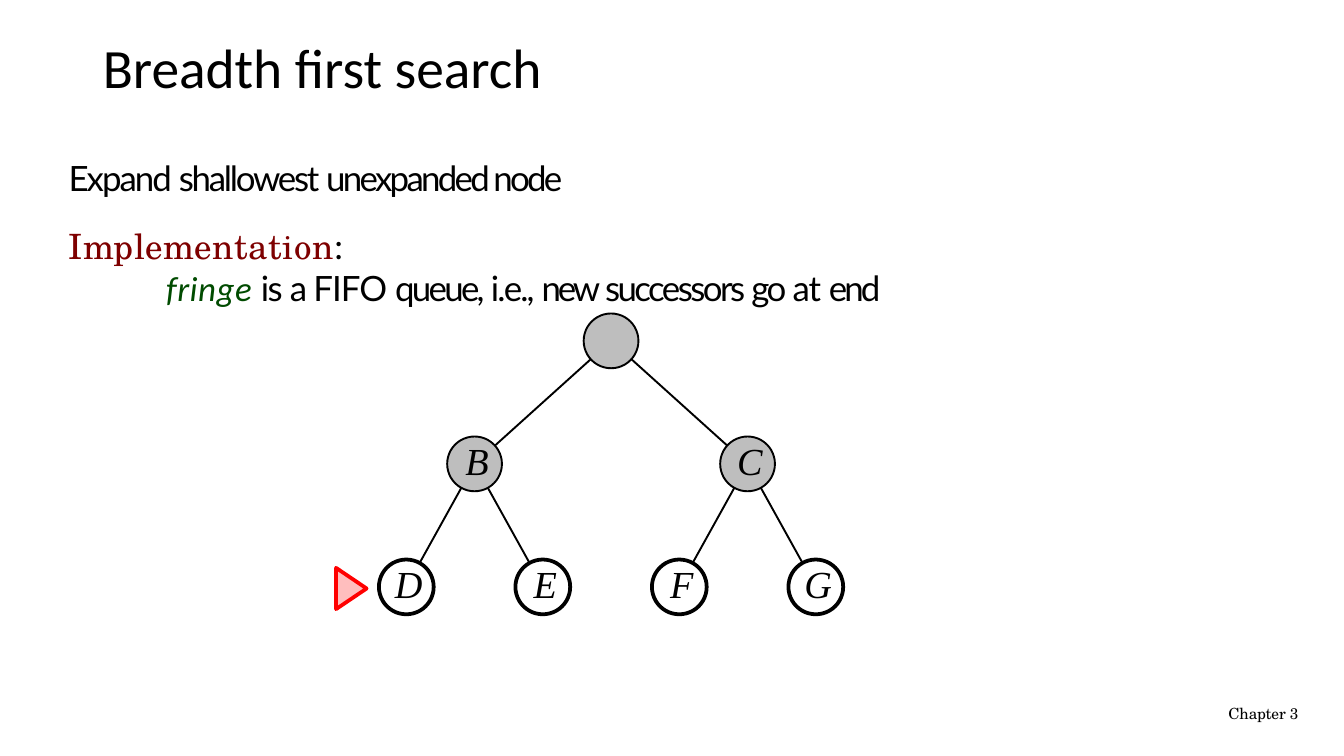
"""Build a slide on breadth first search with its binary tree."""
from dataclasses import dataclass

from lxml.etree import SubElement
from pptx import Presentation
from pptx.dml.color import RGBColor
from pptx.enum.shapes import MSO_CONNECTOR as Link, MSO_SHAPE as Form
from pptx.enum.text import MSO_ANCHOR as Anchor, MSO_AUTO_SIZE as Fit, PP_ALIGN as Align
from pptx.oxml.ns import qn
from pptx.util import Cm, Pt

BLACK, GREY, WHITE = "000000", "BEBEBE", "FFFFFF"
LATO, SCHOLA = "Lato", "TeX Gyre Schola"
ROOT_X, ROOT_Y = 15.4, 8.59
DROP, STEP, SIZE = 3.1, 3.44, 1.38


@dataclass
class Run:
    text: str
    gap: float = 0
    font: str = LATO
    size: float = 24.9
    hue: str = BLACK
    slant: bool = False


@dataclass
class Para:
    runs: list[Run]
    before: float = 0
    indent: float = 0.05
    lead: Pt | float | None = None


@dataclass
class Node:
    name: str
    level: int
    slot: float
    fill: str = GREY
    edge: float = 1.35
    kids: tuple[int, ...] = ()

    @property
    def x(self) -> float:
        return ROOT_X + self.slot * STEP

    @property
    def y(self) -> float:
        return ROOT_Y + self.level * DROP


BODY = [
    Para([Run("Expand ", -1.4), Run("shallowest ", -1.6), Run("unexpanded node", -1.9)], 1.4),
    Para([Run("Implementation", 0.4, SCHOLA, hue="7E0000"), Run(":", 0.4)], 18.9),
    Para([
        Run("fringe ", 0.4, "Calibri", hue="004B00", slant=True),
        Run("is ", -1.2), Run("a ", -1.8), Run("FIFO ", -0.7), Run("queue, ", -1.9),
        Run("i.e., ", -1.3), Run("new ", -2.3), Run("successors ", -1.8),
        Run("go ", -1.9), Run("at ", -0.8), Run("end", -2),
    ], 0.4, 2.51),
]
FOOT = [Para([Run("Chapter", -0.1, SCHOLA, 11), Run(" 3", -0.2, SCHOLA, 11)], lead=Pt(10.4))]
HEAD = [Para([Run("Breadth first search", font="Calibri", size=39.6)], indent=0, lead=0.9)]
TREE = [
    Node("", 0, 0, kids=(1, 2)),
    Node("B", 1, -1, kids=(3, 4)),
    Node("C", 1, 1, kids=(5, 6)),
    *(Node(name, 2, i - 1.5, WHITE, 2.7) for i, name in enumerate("DEFG")),
]


def color(code: str) -> RGBColor:
    return RGBColor.from_string(code)


def apply(target, values: dict) -> None:
    for key, value in values.items():
        setattr(target, key, value)


def write(frame, paras: list[Para], align=Align.LEFT, **form) -> None:
    insets = {f"margin_{side}": 0 for side in ("left", "top", "right", "bottom")}
    apply(frame, {"word_wrap": True, "auto_size": Fit.NONE} | insets | form)
    for i, para in enumerate(paras):
        line = frame.add_paragraph() if i else frame.paragraphs[0]
        apply(line, {"alignment": align, "space_before": Pt(para.before), "line_spacing": para.lead})
        props = line._p.get_or_add_pPr()
        props.set("marL", str(Cm(para.indent)))
        props.set("indent", "0")
        for part in para.runs:
            run = line.add_run()
            run.text = part.text
            apply(run.font, {"name": part.font, "size": Pt(part.size), "italic": part.slant})
            run.font.color.rgb = color(part.hue)
            run._r.get_or_add_rPr().set("spc", str(round(part.gap * 100)))


def paint(shape, fill: str, edge: str, width: float) -> None:
    shape.shadow.inherit = False
    shape.fill.solid()
    shape.fill.fore_color.rgb = color(fill)
    shape.line.color.rgb = color(edge)
    shape.line.width = Pt(width)


def join(shapes, top: Node, kid: Node) -> None:
    ends = (Cm(v) for v in (top.x, top.y, kid.x, kid.y))
    line = shapes.add_connector(Link.STRAIGHT, *ends)
    line.line.color.rgb = color(BLACK)
    line.line.width = Pt(1.35)
    SubElement(line._element.spPr, qn("a:effectLst"))


def ball(shapes, node: Node) -> None:
    box = (Cm(v) for v in (node.x - SIZE / 2, node.y - SIZE / 2, SIZE, SIZE))
    shape = shapes.add_shape(Form.OVAL, *box)
    paint(shape, node.fill, BLACK, node.edge)
    if node.name:
        run = Run(node.name, 0.1, "Times New Roman", 27.3, slant=True)
        write(shape.text_frame, [Para([run], indent=0)], Align.CENTER, word_wrap=False,
              vertical_anchor=Anchor.MIDDLE, margin_left=Cm(0.12), margin_bottom=Cm(0.2))


def mark(shapes) -> None:
    build = shapes.build_freeform(Cm(8.47), Cm(14.31))
    build.add_line_segments([(Cm(8.47), Cm(15.35)), (Cm(9.24), Cm(14.83))], close=True)
    paint(build.convert_to_shape(), "FFBEBE", "FF0000", 2.7)


def main() -> None:
    deck = Presentation()
    apply(deck, {"slide_width": Cm(33.87), "slide_height": Cm(19.05)})
    shapes = deck.slides.add_slide(deck.slide_layouts[5]).shapes
    place = {"left": Cm(2.34), "top": Cm(1.02), "width": Cm(28.58), "height": Cm(1.52)}
    apply(shapes.title, place)
    write(shapes.title.text_frame, HEAD, vertical_anchor=Anchor.MIDDLE, margin_left=Cm(0.25))
    body = shapes.add_textbox(Cm(1.68), Cm(3.89), Cm(21.26), Cm(5.18))
    write(body.text_frame, BODY, margin_top=Cm(0.05))
    for node in TREE:
        for kid in node.kids:
            join(shapes, node, TREE[kid])
    for node in TREE:
        ball(shapes, node)
    mark(shapes)
    foot = shapes.add_textbox(Cm(30.91), Cm(17.83), Cm(1.9), Cm(0.36))
    write(foot.text_frame, FOOT)
    deck.save("out.pptx")


if __name__ == "__main__":
    main()
